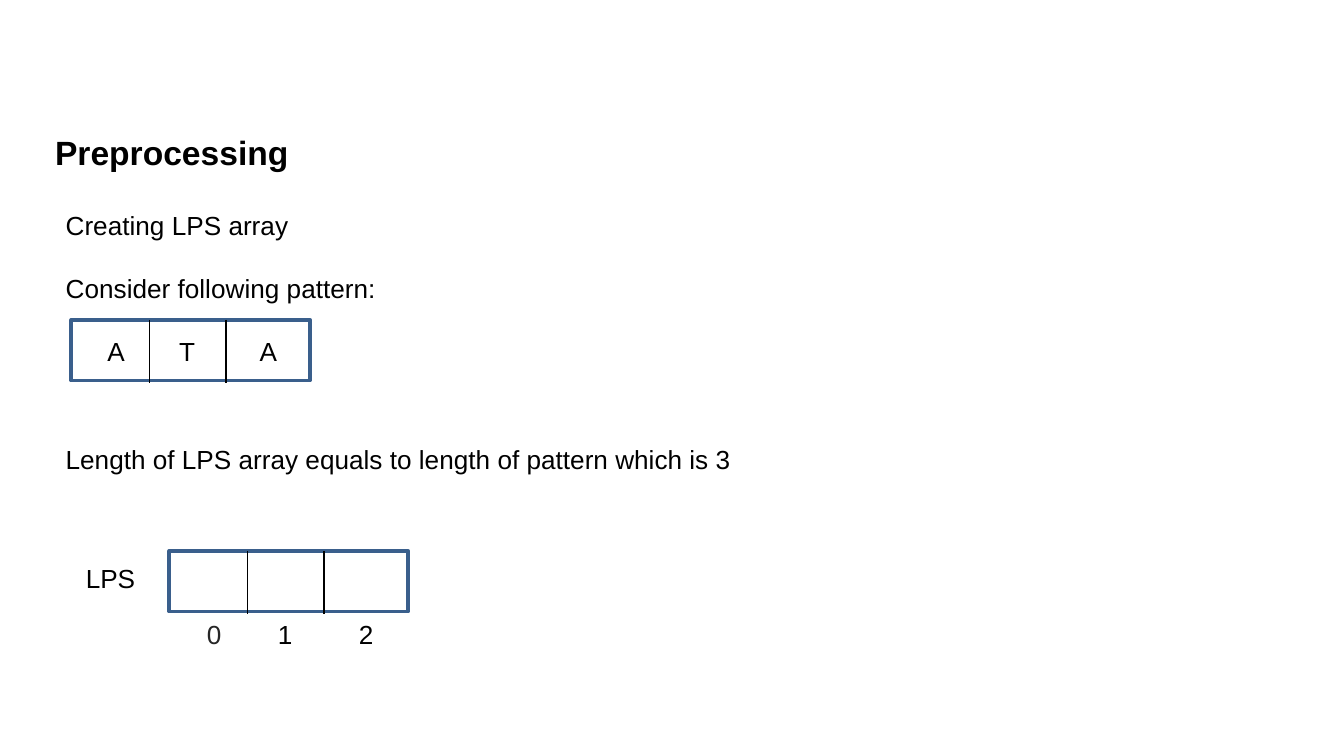
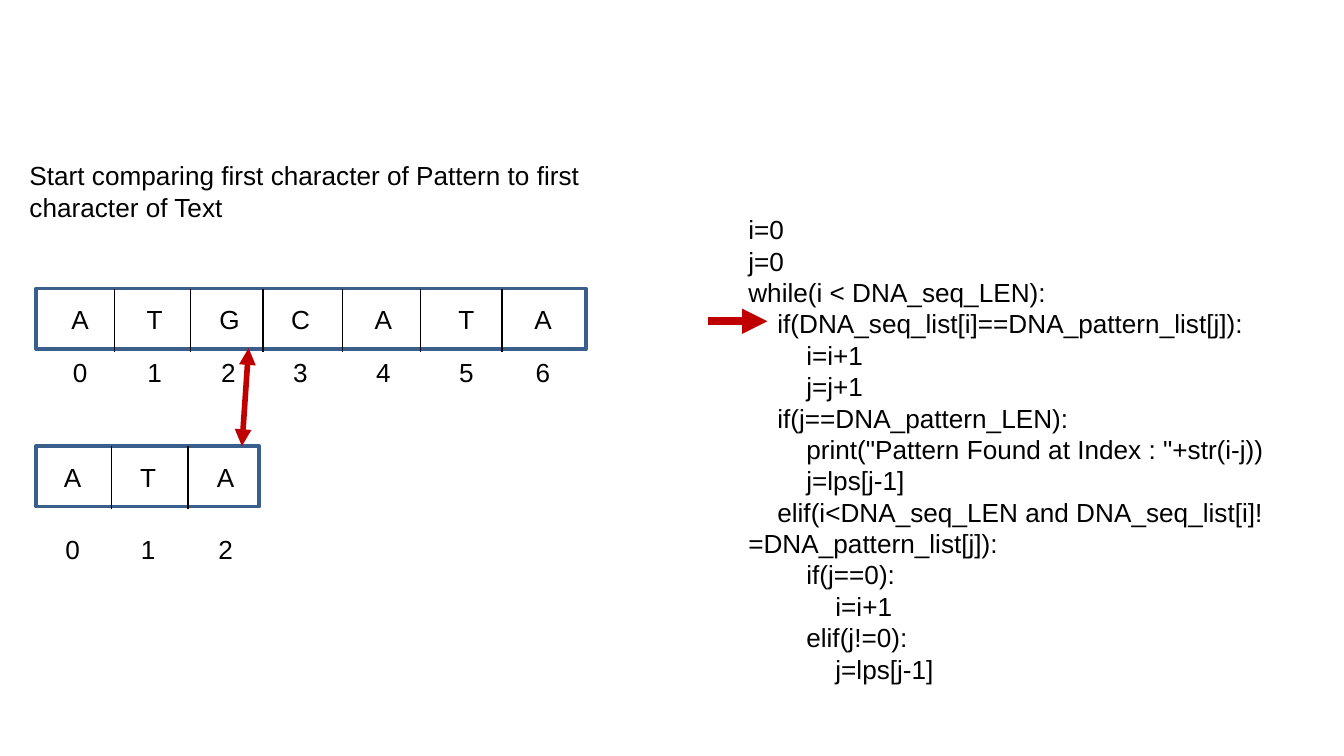
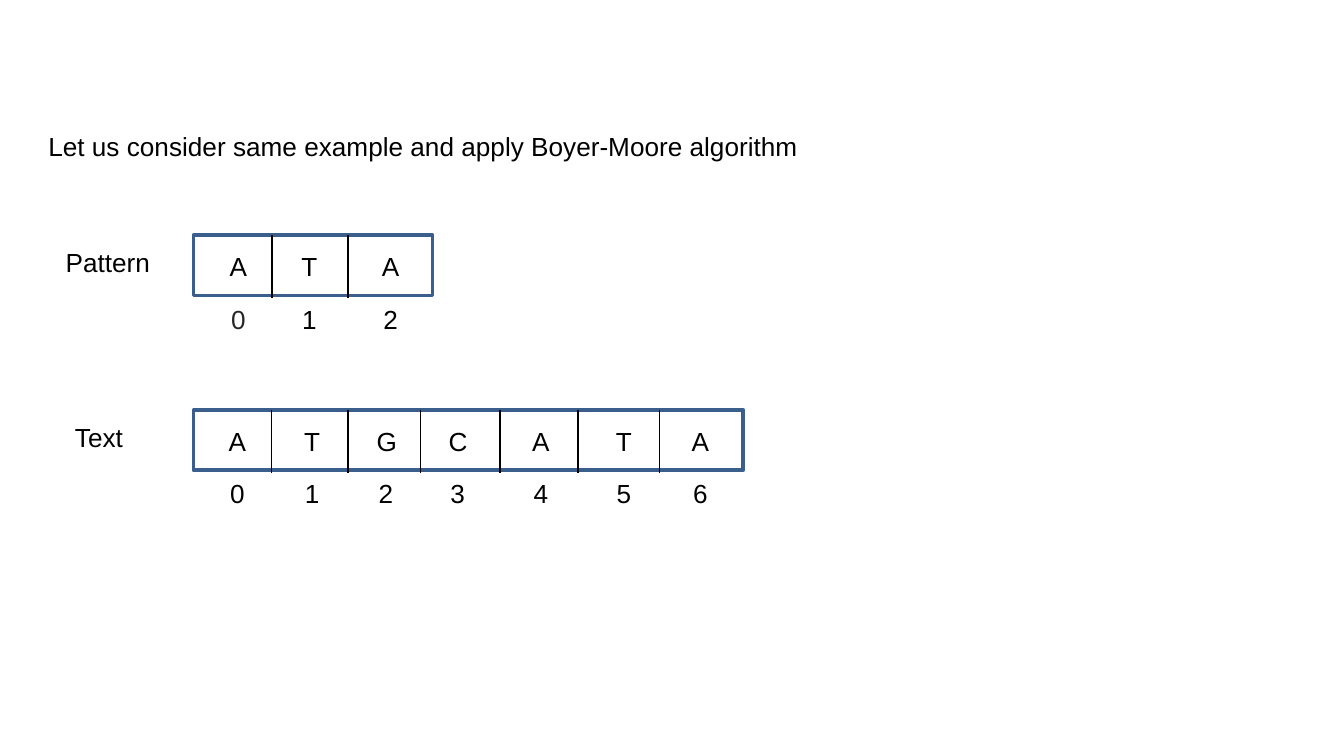
from dataclasses import dataclass

from lxml.etree import SubElement
from pptx import Presentation
from pptx.dml.color import RGBColor
from pptx.enum.shapes import MSO_CONNECTOR, MSO_SHAPE
from pptx.enum.text import MSO_ANCHOR, PP_ALIGN
from pptx.oxml.ns import qn
from pptx.util import Pt


@dataclass(frozen=True)
class Theme:
    font: str = "Arial"
    black: RGBColor = RGBColor(0x00, 0x00, 0x00)
    soft_black: RGBColor = RGBColor(0x26, 0x26, 0x26)
    frame: RGBColor = RGBColor(0x3A, 0x5F, 0x8C)
    arrow: RGBColor = RGBColor(0xC0, 0x00, 0x00)
    heading_size: float = 18
    body_size: float = 14
    line_pitch: float = 16.8
    frame_width: float = 2
    divider_width: float = 0.75


@dataclass(frozen=True)
class ArrayLayout:
    """Distances from the left edge of an array to its dividers and cell centres."""
    width: float
    dividers: tuple
    centres: tuple


THEME = Theme()
TRIPLE = ArrayLayout(128, (42, 82.8), (24, 62, 105.5))
NARROW_TRIPLE = ArrayLayout(119.5, (40.3, 81.4), (19.5, 60, 101.5))
SEVEN = ArrayLayout(294.5, (41.8, 82.8, 121.5, 164.2, 206, 249.5),
                    (23.5, 63.5, 103, 141.5, 186, 230.5, 271.5))

CELL_HEIGHT = 32.4
DIVIDER_HEIGHT = 33.8
TEXT_HEIGHT = 24.5
CHARACTER_WIDTH = 24
LETTER_DROP = 4.5
LABEL_DROP = 2.5
INDEX_DROP = 32.8
CODE_INDENT = 15.55

CODE_LINES = (
    (0, "i=0"),
    (0, "j=0"),
    (0, "while(i < DNA_seq_LEN):"),
    (1, "if(DNA_seq_list[i]==DNA_pattern_list[j]):"),
    (2, "i=i+1"),
    (2, "j=j+1"),
    (1, "if(j==DNA_pattern_LEN):"),
    (2, 'print("Pattern Found at Index : "+str(i-j))'),
    (2, "j=lps[j-1]"),
    (1, "elif(i<DNA_seq_LEN and DNA_seq_list[i]!=DNA_pattern_list[j]):"),
    (2, "if(j==0):"),
    (3, "i=i+1"),
    (2, "elif(j!=0):"),
    (3, "j=lps[j-1]"),
)


def format_text(text_frame, size=THEME.body_size, color=THEME.black,
                bold=False, align=PP_ALIGN.LEFT):
    text_frame.vertical_anchor = MSO_ANCHOR.TOP
    for paragraph in text_frame.paragraphs:
        paragraph.alignment = align
        paragraph.line_spacing = Pt(size * THEME.line_pitch / THEME.body_size)
        for run in paragraph.runs:
            run.font.name = THEME.font
            run.font.size = Pt(size)
            run.font.bold = bold
            run.font.color.rgb = color


def add_titled_slide(presentation, title, left, top, width, height, **style):
    slide = presentation.slides.add_slide(presentation.slide_layouts[5])
    shape = slide.shapes.title
    shape.left, shape.top, shape.width, shape.height = map(Pt, (left, top, width, height))
    shape.text_frame.text = title
    shape.text_frame.word_wrap = True
    format_text(shape.text_frame, **style)
    return slide


def add_text(shapes, text, left, top, width, height=TEXT_HEIGHT, wrap=True, **style):
    box = shapes.add_textbox(Pt(left), Pt(top), Pt(width), Pt(height))
    box.text_frame.text = text
    box.text_frame.word_wrap = wrap
    format_text(box.text_frame, **style)
    return box.text_frame


def add_line(shapes, start, end, color=THEME.black, width=THEME.divider_width, heads=()):
    """Draw a line; heads names the ends (headEnd, tailEnd) that carry a triangle."""
    connector = shapes.add_connector(MSO_CONNECTOR.STRAIGHT, *map(Pt, (*start, *end)))
    connector.line.color.rgb = color
    connector.line.width = Pt(width)
    for head in heads:
        SubElement(connector.line._get_or_add_ln(), qn(f"a:{head}"), type="triangle")
    SubElement(connector._element.spPr, qn("a:effectLst"))


def add_characters(shapes, characters, layout, left, top, first_color=THEME.black):
    for position, (character, centre) in enumerate(zip(characters, layout.centres)):
        add_text(shapes, character, left + centre - CHARACTER_WIDTH / 2, top,
                 CHARACTER_WIDTH, wrap=False, align=PP_ALIGN.CENTER,
                 color=THEME.black if position else first_color)


def add_array(slide, layout, left, top, letters="", indices="",
              index_drop=INDEX_DROP, first_index_color=THEME.black):
    shapes = slide.shapes.add_group_shape().shapes
    frame = shapes.add_shape(MSO_SHAPE.RECTANGLE, Pt(left), Pt(top),
                             Pt(layout.width), Pt(CELL_HEIGHT))
    frame.shadow.inherit = False
    frame.fill.background()
    frame.line.color.rgb = THEME.frame
    frame.line.width = Pt(THEME.frame_width)
    for offset in layout.dividers:
        add_line(shapes, (left + offset, top), (left + offset, top + DIVIDER_HEIGHT))
    add_characters(shapes, letters, layout, left, top + LETTER_DROP)
    add_characters(shapes, indices, layout, left, top + index_drop, first_index_color)


def add_code(slide, left, top, width, height):
    text = "\n".join(line for _, line in CODE_LINES)
    text_frame = add_text(slide.shapes, text, left, top, width, height)
    for paragraph, (level, _) in zip(text_frame.paragraphs, CODE_LINES):
        properties = paragraph._p.get_or_add_pPr()
        properties.set("marL", "0")
        properties.set("indent", str(Pt(level * CODE_INDENT)))


def build_preprocessing(presentation):
    slide = add_titled_slide(presentation, "Preprocessing", 22.3, 67, 141, 29,
                             size=THEME.heading_size, bold=True)
    introduction = add_text(slide.shapes, "Creating LPS array\nConsider following pattern:",
                            28.1, 108.7, 182, 75)
    introduction.paragraphs[1].space_before = Pt(THEME.line_pitch)
    add_array(slide, TRIPLE, 38.2, 171.4, letters="ATA")
    add_text(slide.shapes, "Length of LPS array equals to length of pattern which is 3",
             28.1, 234, 374)
    lps_top = 295.2
    add_text(slide.shapes, "LPS", 38.9, lps_top + LABEL_DROP, 42)
    add_array(slide, TRIPLE, 90.7, lps_top, indices="012",
              first_index_color=THEME.soft_black)


def build_comparison(presentation):
    slide = add_titled_slide(
        presentation,
        "Start comparing first character of Pattern to first character of Text",
        8.6, 82, 371, 41)
    array_left = 19.4
    add_array(slide, NARROW_TRIPLE, array_left, 239, "ATA", "012", index_drop=43.2)
    add_array(slide, SEVEN, array_left, 154.6, "ATGCATA", "0123456")
    add_code(slide, 393.8, 110.9, 327.6, 262)
    add_line(slide.shapes, (379.4, 172.1), (411.1, 172.1), THEME.arrow, 4.5, ("tailEnd",))
    add_line(slide.shapes, (133.2, 186.5), (129.6, 239), THEME.arrow, 3,
             ("headEnd", "tailEnd"))


def build_example(presentation):
    slide = add_titled_slide(
        presentation, "Let us consider same example and apply Boyer-Moore algorithm",
        18.7, 66.2, 428, TEXT_HEIGHT)
    array_left, pattern_top, text_top = 103.7, 126, 219.6
    add_text(slide.shapes, "Pattern", 28.1, pattern_top + LABEL_DROP, 62)
    add_array(slide, TRIPLE, array_left, pattern_top, "ATA", "012",
              first_index_color=THEME.soft_black)
    add_text(slide.shapes, "Text", 33.1, text_top + LABEL_DROP, 44)
    add_array(slide, SEVEN, array_left, text_top, "ATGCATA", "0123456")


def main():
    presentation = Presentation()
    presentation.slide_width, presentation.slide_height = Pt(720), Pt(405)
    build_preprocessing(presentation)
    build_comparison(presentation)
    build_example(presentation)
    presentation.save("out.pptx")


if __name__ == "__main__":
    main()
